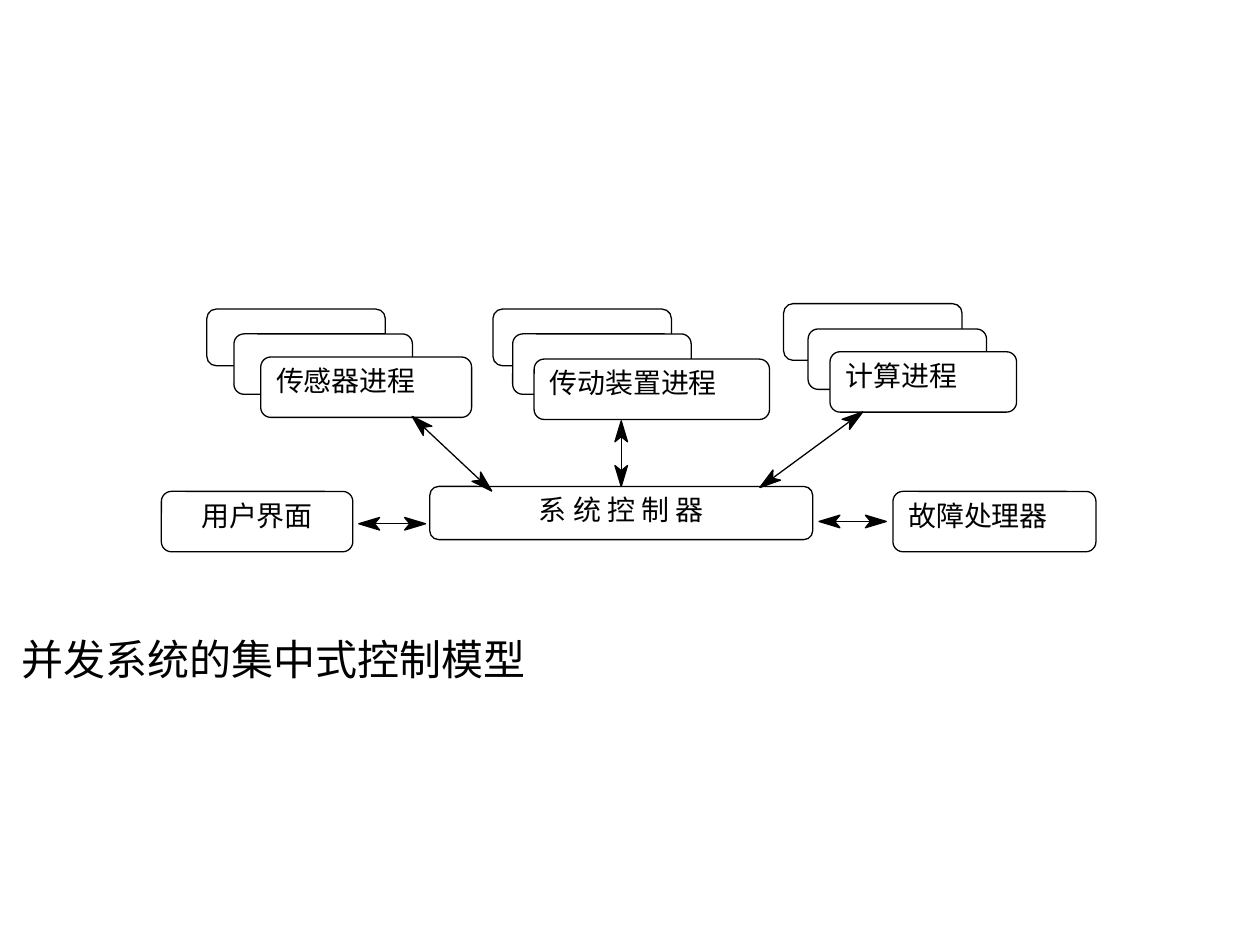
import math

from lxml import etree
from pptx import Presentation
from pptx.dml.color import RGBColor
from pptx.enum.shapes import MSO_CONNECTOR, MSO_SHAPE
from pptx.enum.text import MSO_ANCHOR, MSO_AUTO_SIZE, PP_ALIGN
from pptx.oxml.ns import qn
from pptx.util import Pt

ROUNDED = MSO_SHAPE.FLOWCHART_ALTERNATE_PROCESS
STRAIGHT = MSO_CONNECTOR.STRAIGHT
TOP = MSO_ANCHOR.TOP
BOTTOM = MSO_ANCHOR.BOTTOM
NO_AUTOFIT = MSO_AUTO_SIZE.NONE
CENTER = PP_ALIGN.CENTER
JUSTIFY = PP_ALIGN.JUSTIFY
TOP_SITE = 0


def color(value):
    return RGBColor.from_string(value)


class Diagram:
    font = "Calibri"
    ink = "000000"
    paper = "FFFFFF"
    line_width = 0.75
    title_size = 24
    label_size = 16
    box_height = 34.5
    back_sizes = ((102, 32.4), (102, 34.5))
    head_profile = ((0, 0), (-12, 3.6), (-9, 0), (-12, -3.6))

    def __init__(self, slide):
        self.slide = slide

    def add_text(self, text_frame, text, size, alignment):
        paragraph = text_frame.paragraphs[0]
        paragraph.alignment = alignment
        run = paragraph.add_run()
        run.text = text
        run.font.name = self.font
        run.font.size = Pt(size)
        run.font.color.rgb = color(self.ink)

    def outline(self, shape):
        shape.line.color.rgb = color(self.ink)
        shape.line.width = Pt(self.line_width)

    def paint(self, shape, fill):
        shape.shadow.inherit = False
        shape.fill.solid()
        shape.fill.fore_color.rgb = color(fill)
        self.outline(shape)

    def title(self, text, left, top, width, height):
        title = self.slide.shapes.title
        title.left, title.top = Pt(left), Pt(top)
        title.width, title.height = Pt(width), Pt(height)
        text_frame = title.text_frame
        text_frame.word_wrap = True
        text_frame.auto_size = NO_AUTOFIT
        text_frame.vertical_anchor = BOTTOM
        self.add_text(text_frame, text, self.title_size, CENTER)

    def box(self, left, top, width, height, text="", alignment=JUSTIFY):
        shape = self.slide.shapes.add_shape(
            ROUNDED, Pt(left), Pt(top), Pt(width), Pt(height))
        self.paint(shape, self.paper)
        if text:
            text_frame = shape.text_frame
            text_frame.word_wrap = True
            text_frame.vertical_anchor = TOP
            text_frame.margin_left = text_frame.margin_right = Pt(7.2)
            text_frame.margin_top = Pt(2.2)
            text_frame.margin_bottom = Pt(0.7)
            self.add_text(text_frame, text, self.label_size, alignment)
        return shape

    def stack(self, positions, front_width, text):
        *back_positions, (left, top) = positions
        for position, size in zip(back_positions, self.back_sizes):
            self.box(*position, *size)
        self.box(left, top, front_width, self.box_height, text)

    def head(self, tip, angle):
        cosine, sine = math.cos(angle), math.sin(angle)
        points = [
            (Pt(tip[0] + along * cosine - across * sine),
             Pt(tip[1] + along * sine + across * cosine))
            for along, across in self.head_profile
        ]
        builder = self.slide.shapes.build_freeform(*points[0], scale=1.0)
        builder.add_line_segments(points[1:], close=True)
        self.paint(builder.convert_to_shape(), self.ink)

    def double_arrow(self, start, end):
        connector = self.slide.shapes.add_connector(
            STRAIGHT, Pt(start[0]), Pt(start[1]), Pt(end[0]), Pt(end[1]))
        self.outline(connector)
        properties = connector._element.spPr
        etree.SubElement(properties, qn("a:effectLst"))
        angle = math.atan2(end[1] - start[1], end[0] - start[0])
        self.head(start, angle + math.pi)
        self.head(end, angle)
        return connector


def main():
    presentation = Presentation()
    presentation.slide_width = Pt(720)
    presentation.slide_height = Pt(540)
    slide = presentation.slides.add_slide(presentation.slide_layouts[5])
    diagram = Diagram(slide)

    diagram.title("并发系统的集中式控制模型", 0, 349.2, 312.5, 45.4)
    controller = diagram.box(245.6, 278, 218.8, 30.4, "系 统 控 制 器", CENTER)
    diagram.box(510.3, 280.8, 116, diagram.box_height, "故障处理器")
    diagram.box(92.2, 280.8, 109.4, diagram.box_height, "用户界面", CENTER)

    diagram.stack([(118.2, 176.6), (133.7, 190.8), (149, 204)],
                  120.5, "传感器进程")
    diagram.stack([(281.7, 176.6), (293, 190.8), (305.2, 205.2)],
                  134.5, "传动装置进程")
    diagram.stack([(447.8, 173.5), (461.8, 188), (474.3, 201)],
                  106.6, "计算进程")

    diagram.double_arrow((468, 298), (506.5, 298))
    diagram.double_arrow((205, 299.3), (243.2, 299.3))
    diagram.double_arrow((235.6, 238), (281, 280.6))
    diagram.double_arrow((493, 235.4), (434.2, 278.6))
    vertical = diagram.double_arrow((355, 240.5), (355, 278))
    vertical.end_connect(controller, TOP_SITE)

    presentation.save("out.pptx")


if __name__ == "__main__":
    main()
